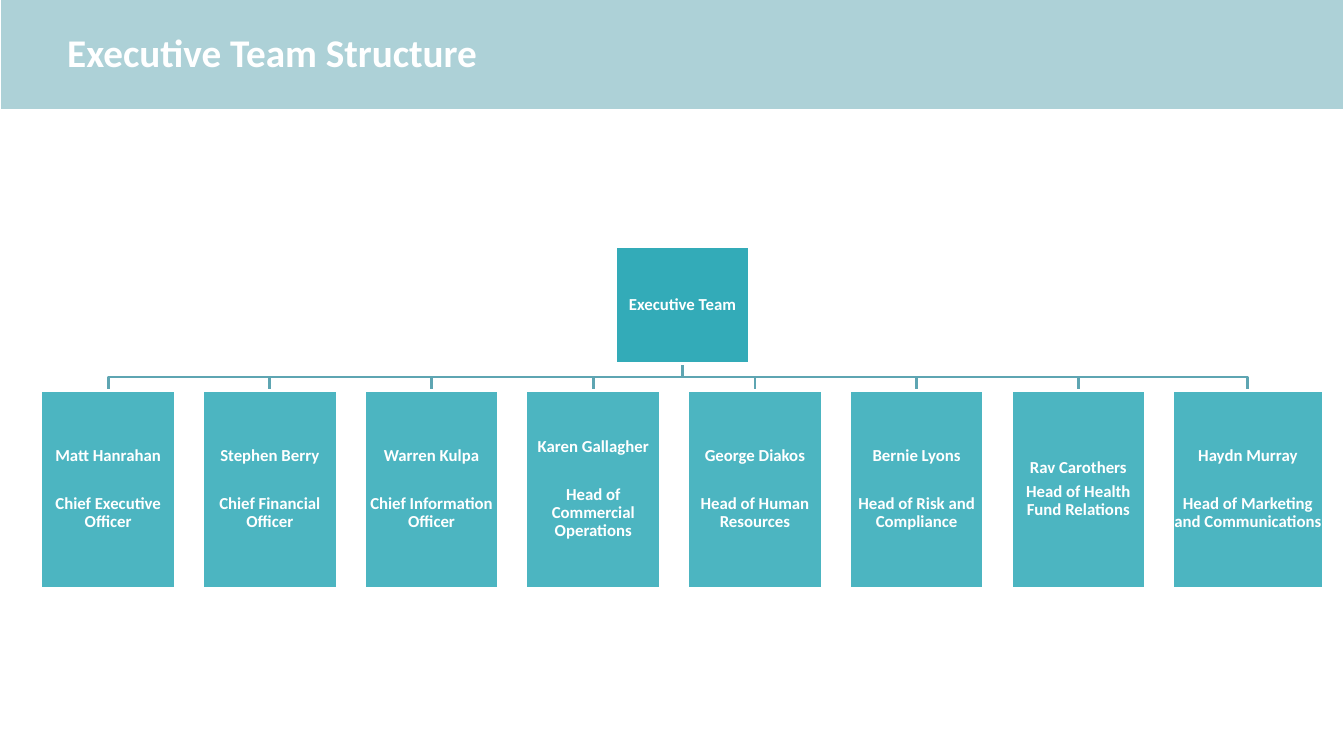
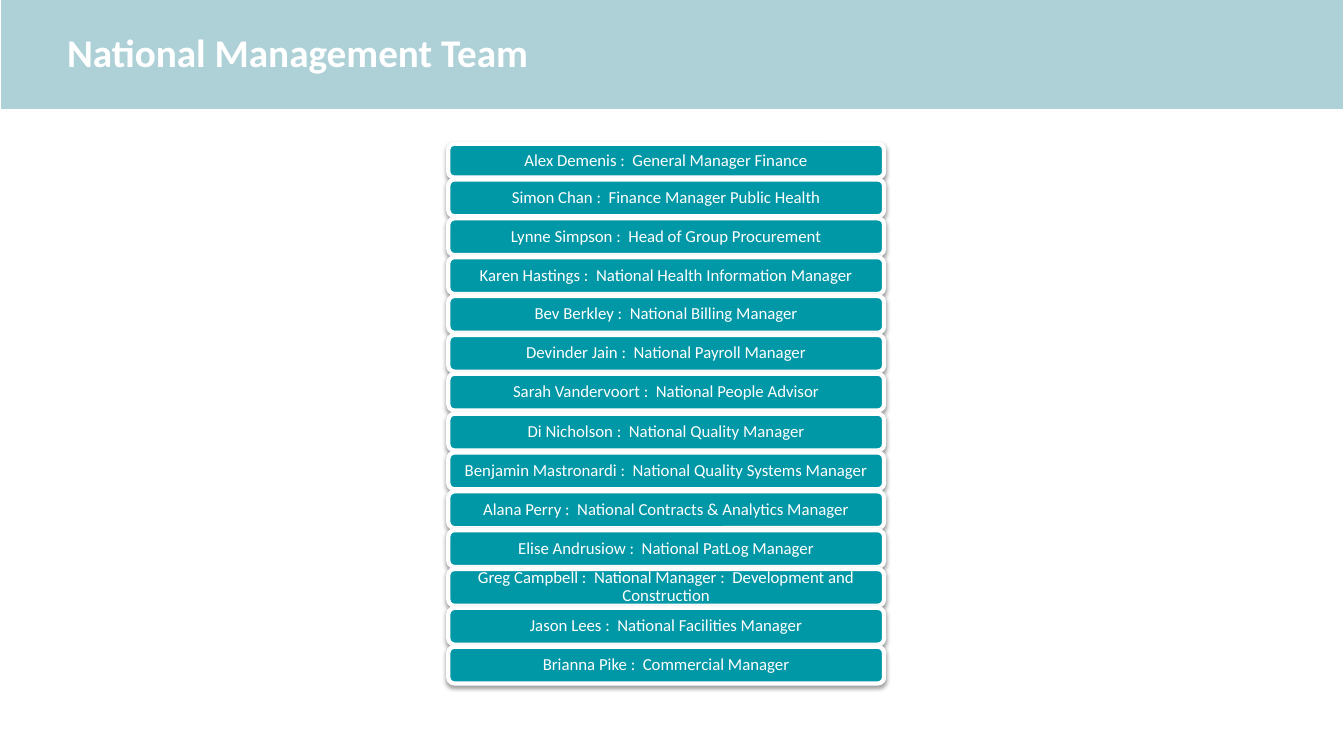
"""Build two slides: the executive team chart and the national management list."""
from pptx import Presentation
from pptx.dml.color import RGBColor
from pptx.enum.shapes import MSO_SHAPE as Preset
from pptx.enum.text import MSO_ANCHOR as Anchor, PP_ALIGN as Align
from pptx.oxml.ns import qn
from pptx.util import Pt
from lxml.etree import SubElement

PX = 9525
SLIDE_WIDTH, SLIDE_HEIGHT = 1280, 720
BAND_HEIGHT = 104
WHITE = RGBColor(0xFF, 0xFF, 0xFF)
BAND = RGBColor(0xAD, 0xD1, 0xD7)
TEAL = RGBColor(0x00, 0x97, 0xA7)
BRANCH = RGBColor(0x5E, 0xA5, 0xB2)


def add_box(slide, text, left, top, width, height, *, preset=Preset.RECTANGLE,
            fill=TEAL, opacity=100, line=2, size=12, bold=True, align=Align.CENTER,
            insets=(1, 1, 1, 1), gap=0, shadow=False):
    """Add a filled shape whose text has one paragraph per line."""
    shape = slide.shapes.add_shape(preset, left * PX, top * PX, width * PX, height * PX)
    shape.fill.solid()
    shape.fill.fore_color.rgb = fill
    shape.line.color.rgb = WHITE
    shape.line.width = Pt(line)
    shape.shadow.inherit = False
    properties = shape.element.spPr
    if opacity < 100:
        color = properties.find(qn("a:solidFill")).find(qn("a:srgbClr"))
        SubElement(color, qn("a:alpha"), val=str(opacity * 1000))
    if shadow:
        outer = SubElement(properties.find(qn("a:effectLst")), qn("a:outerShdw"),
                           blurRad="40000", dist="20000", dir="5400000", rotWithShape="0")
        color = SubElement(outer, qn("a:srgbClr"), val="000000")
        SubElement(color, qn("a:alpha"), val="38000")
    frame = shape.text_frame
    frame.word_wrap = True
    frame.vertical_anchor = Anchor.MIDDLE
    (frame.margin_left, frame.margin_top,
     frame.margin_right, frame.margin_bottom) = [inset * PX for inset in insets]
    frame.text = text
    for index, paragraph in enumerate(frame.paragraphs):
        paragraph.alignment = align
        paragraph.line_spacing = 0.9
        if index:
            paragraph.space_before = Pt(gap)
        paragraph.font.name = "Calibri"
        paragraph.font.size = Pt(size)
        paragraph.font.bold = bold
        paragraph.font.color.rgb = WHITE
    return shape


presentation = Presentation()
presentation.slide_width = SLIDE_WIDTH * PX
presentation.slide_height = SLIDE_HEIGHT * PX
blank = presentation.slide_layouts[6]

slides = []
for title in ("Executive Team Structure", "National Management Team"):
    slide = presentation.slides.add_slide(blank)
    add_box(slide, title, 0, 0, SLIDE_WIDTH, BAND_HEIGHT, fill=BAND, line=0.75,
            size=28, align=Align.LEFT, insets=(64, 0, 0, 0))
    slides.append(slide)
team_slide, management_slide = slides

WIDE_GAP, NARROW_GAP = 21, 4
executives = [
    ("Matt Hanrahan", "Chief Executive Officer", 128, WIDE_GAP),
    ("Stephen Berry", "Chief Financial Officer", 128, WIDE_GAP),
    ("Warren Kulpa", "Chief Information Officer", 128, WIDE_GAP),
    ("Karen Gallagher", "Head of Commercial Operations", 128, WIDE_GAP),
    ("George Diakos", "Head of Human Resources", 128, WIDE_GAP),
    ("Bernie Lyons", "Head of Risk and Compliance", 128, WIDE_GAP),
    ("Rav Carothers", "Head of Health Fund Relations", 128, NARROW_GAP),
    ("Haydn Murray", "Head of Marketing and Communications", 143, WIDE_GAP),
]
ROOT_LEFT, ROOT_TOP, ROOT_WIDTH, ROOT_HEIGHT = 586, 235, 128, 111
CARD_LEFT, CARD_TOP, CARD_HEIGHT, CARD_PITCH = 39, 372, 188, 154
root_center = ROOT_LEFT + ROOT_WIDTH // 2
root_bottom = ROOT_TOP + ROOT_HEIGHT
branch_middle = (root_bottom + CARD_TOP) // 2

for index, (name, role, width, gap) in enumerate(executives):
    card_center = CARD_LEFT + index * CARD_PITCH + width // 2
    builder = team_slide.shapes.build_freeform(root_center, root_bottom, scale=PX)
    builder.add_line_segments([(root_center, branch_middle), (card_center, branch_middle),
                               (card_center, CARD_TOP)], close=False)
    branch = builder.convert_to_shape()
    branch.fill.background()
    branch.line.color.rgb = BRANCH
    branch.line.width = Pt(2)
    branch.shadow.inherit = False

add_box(team_slide, "Executive Team", ROOT_LEFT, ROOT_TOP, ROOT_WIDTH, ROOT_HEIGHT, opacity=80)
for index, (name, role, width, gap) in enumerate(executives):
    add_box(team_slide, f"{name}\n{role}", CARD_LEFT + index * CARD_PITCH, CARD_TOP,
            width, CARD_HEIGHT, opacity=70, gap=gap)

managers = [
    "Alex Demenis :  General Manager Finance",
    "Simon Chan :  Finance Manager Public Health",
    "Lynne Simpson :  Head of Group Procurement",
    "Karen Hastings :  National Health Information Manager",
    "Bev Berkley :  National Billing Manager",
    "Devinder Jain :  National Payroll Manager",
    "Sarah Vandervoort :  National People Advisor",
    "Di Nicholson :  National Quality Manager",
    "Benjamin Mastronardi :  National Quality Systems Manager",
    "Alana Perry :  National Contracts & Analytics Manager",
    "Elise Andrusiow :  National PatLog Manager",
    "Greg Campbell :  National Manager :  Development and Construction",
    "Jason Lees :  National Facilities Manager",
    "Brianna Pike :  Commercial Manager",
]
BAR_LEFT, BAR_WIDTH, BAR_HEIGHT = 427, 415, 35
FIRST_TOP, FIRST_HEIGHT = 137, 32
SECOND_TOP, LAST_TOP = 171, 616
bar_pitch = (LAST_TOP - SECOND_TOP) / (len(managers) - 2)

for index, manager in enumerate(managers):
    if index == 0:
        top, height = FIRST_TOP, FIRST_HEIGHT
    else:
        top, height = round(SECOND_TOP + (index - 1) * bar_pitch), BAR_HEIGHT
    add_box(management_slide, manager, BAR_LEFT, top, BAR_WIDTH, height,
            preset=Preset.ROUNDED_RECTANGLE, line=3, bold=False,
            insets=(7, 5, 7, 5), shadow=True)

presentation.save("out.pptx")
